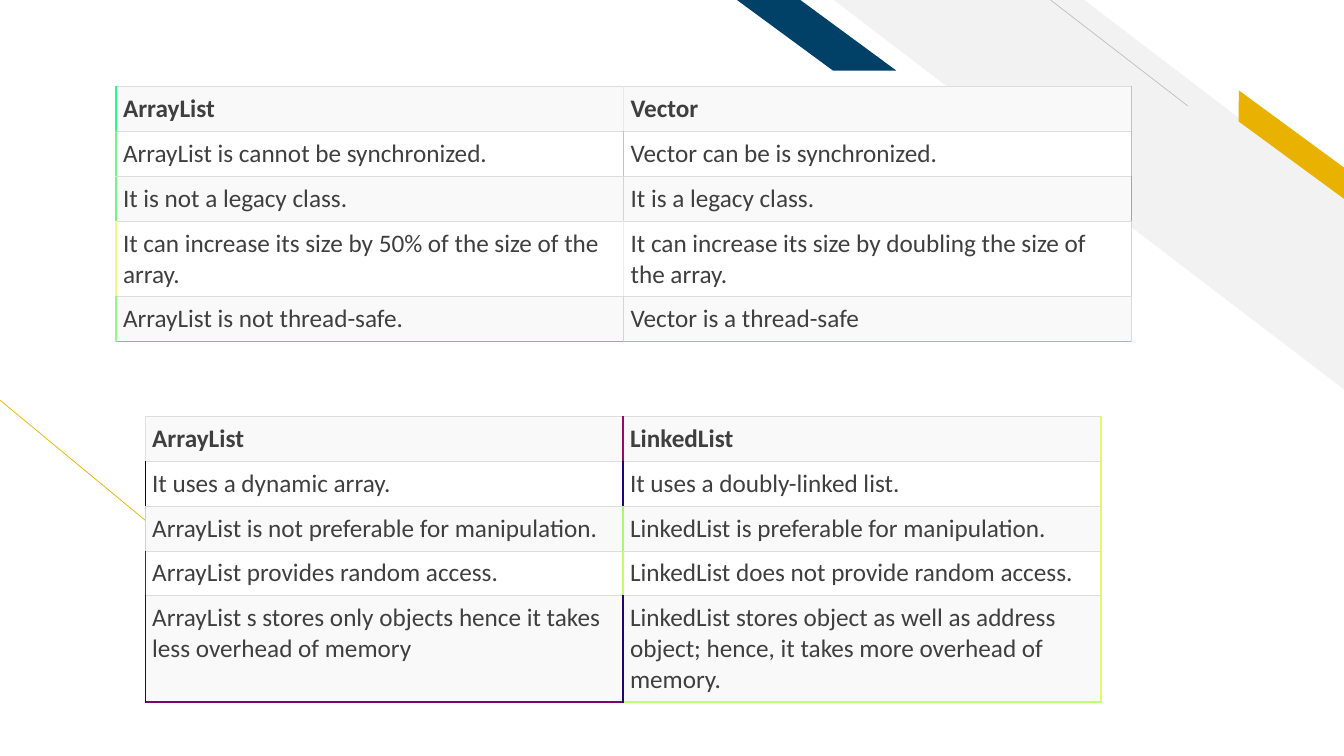
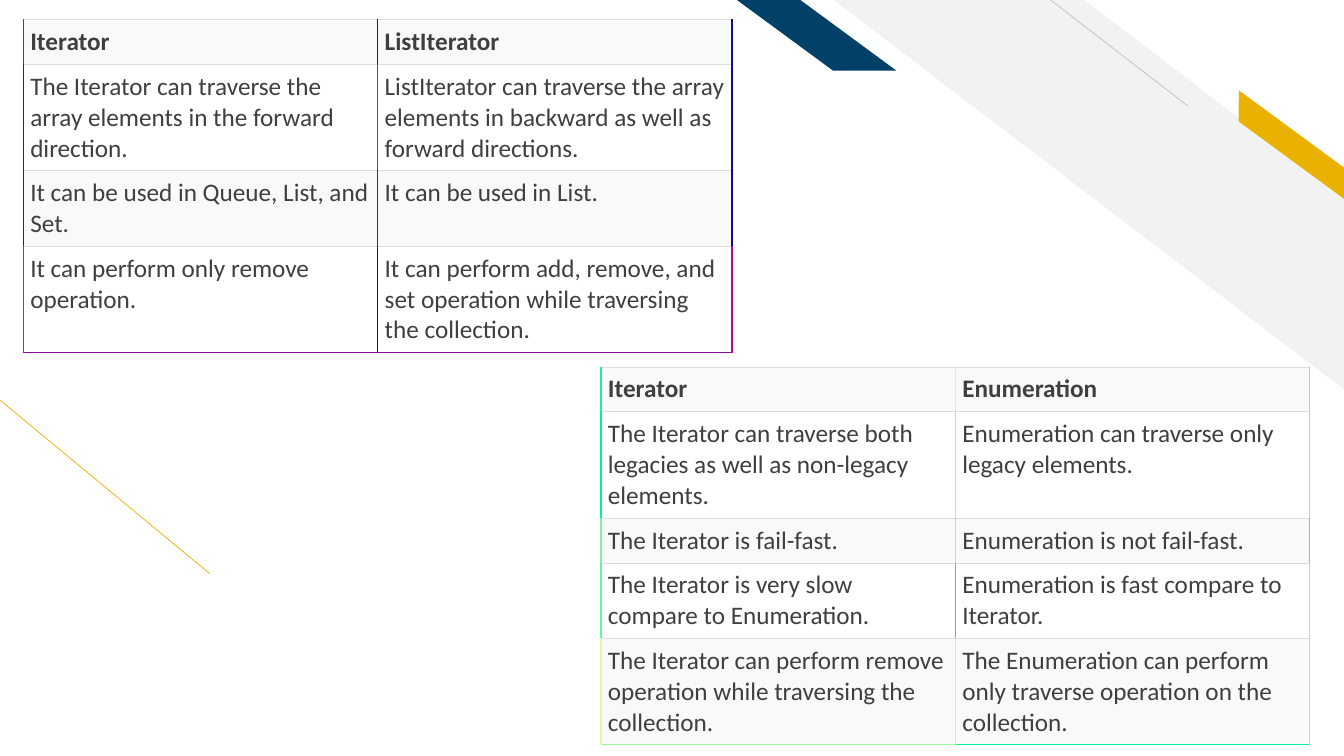
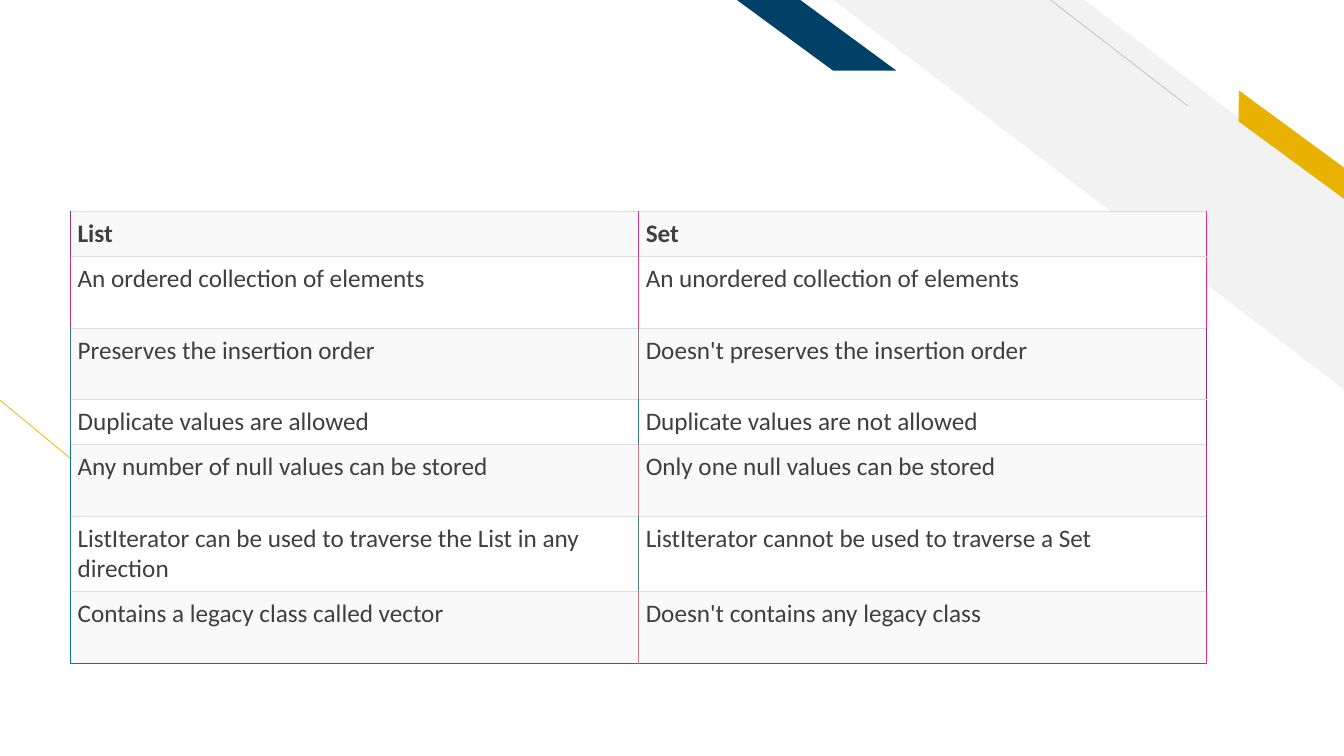
from lxml import etree
from pptx import Presentation
from pptx import util as u
from pptx.dml.color import RGBColor
from pptx.enum import shapes
from pptx.oxml.ns import qn
from pptx.oxml.xmlchemy import OxmlElement

# Shared style
FONT, TEXT_SIZE, TEXT = "Calibri", 18, "3F3F3F"
GOLD, NAVY, PALE, GREY = "EAB200", "014067", "F2F2F2", "BFBFBF"
ROW_FILLS, RULE = ("F9F9F9", "FFFFFF"), "DDDDDD"
PADDING = u.Inches(0.07)
SLIDE_WIDTH, SLIDE_HEIGHT = u.Inches(13.33), u.Inches(7.5)

# Row heights in percent of the slide height
ONE, TALL, TWO, THREE = 5.87, 9.47, 9.87, 14

# Bands: preset, box in percent, adjustment, rotation, fill
BANDS = [
    (shapes.MSO_SHAPE.DIAGONAL_STRIPE, (62.04, 0, 38.03, 51.6), 0.51, 0, PALE, True),
    (shapes.MSO_SHAPE.PARALLELOGRAM, (90.55, 17.47, 11.1, 3.33), 0.72, 36.3, GOLD, True),
    (shapes.MSO_SHAPE.PARALLELOGRAM, (54.84, 0, 11.85, 9.33), 1.36, 0, NAVY, False),
]
# Hairlines: start and end in percent, colour
HAIRLINES = [
    ((15.6, 75.87), (0, 52.93), GOLD),
    ((88.37, 14), (78.17, 0), GREY),
]

# Tables: place is left, top, width in percent; each row holds its height,
# two texts and the colours of its left, middle and right borders
ARRAYLIST_VECTOR = {
    "place": (8.63, 11.47, 75.54), "bottom": ("10FA84", "30FD84"),
    "rows": [
        (ONE, "ArrayList", "Vector", "30F784 F0F784 70F784"),
        (ONE, "ArrayList is cannot be synchronized.", "Vector can be is synchronized.",
         "70F784 70F784 70F284"),
        (ONE, "It is not a legacy class.", "It is a legacy class.", "70F784 B0F884 10F884"),
        (TWO, "It can increase its size by 50% of the size of the array.",
         "It can increase its size by doubling the size of the array.", "F0F984 F0FF84 B0F884"),
        (ONE, "ArrayList is not thread-safe.", "Vector is a thread-safe", "90FA84 B0FA84 D0F184"),
    ],
}
ARRAYLIST_LINKEDLIST = {
    "place": (10.8, 55.07, 71.12), "bottom": ("80016E", "C0FF6D"),
    "rows": [
        (ONE, "ArrayList", "LinkedList", "E0F76D A0036E E0FA6D"),
        (ONE, "It uses a dynamic array.", "It uses a doubly-linked list.", "00026E 20056E E0FA6D"),
        (ONE, "ArrayList is not preferable for manipulation.",
         "LinkedList is preferable for manipulation.", "A0FE6D A0FE6D E0FA6D"),
        (ONE, "ArrayList provides random access.",
         "LinkedList does not provide random access.", "80026E C0FF6D E0FA6D"),
        (THREE, "ArrayList s stores only objects hence it takes less overhead of memory",
         "LinkedList stores object as well as address object; hence, it takes more overhead "
         "of memory.", "20056E 20056E E0FA6D"),
    ],
}
ITERATOR_LISTITERATOR = {
    "place": (1.73, 2.6, 52.74), "bottom": ("9007A1", "9007A1"),
    "rows": [
        (ONE, "Iterator", "ListIterator", "B006A1 3006A1 100DA1"),
        (THREE, "The Iterator can traverse the array elements in the forward direction.",
         "ListIterator can traverse the array elements in backward as well as forward directions.",
         "5006A1 D006A1 1009A1"),
        (TWO, "It can be used in Queue, List, and Set.", "It can be used in List.",
         "5007A1 7007A1 1007A1"),
        (THREE, "It can perform only remove operation.",
         "It can perform add, remove, and set operation while traversing the collection.",
         "D010A1 1010A1 B007A1"),
    ],
}
ITERATOR_ENUMERATION = {
    "place": (44.71, 48.53, 52.74), "bottom": ("A0F29C", "00F59C"),
    "rows": [
        (ONE, "Iterator", "Enumeration", "20EE9C E0F69C 60F79C"),
        (THREE, "The Iterator can traverse both legacies as well as non-legacy elements.",
         "Enumeration can traverse only legacy elements.", "00F09C A0F69C 80F39C"),
        (ONE, "The Iterator is fail-fast.", "Enumeration is not fail-fast.",
         "80F19C A0F49C 20F79C"),
        (TWO, "The Iterator is very slow compare to Enumeration.",
         "Enumeration is fast compare to Iterator.", "60F79C 00F09C A0F49C"),
        (THREE, "The Iterator can perform remove operation while traversing the collection.",
         "The Enumeration can perform only traverse operation on the collection.",
         "E0FC9C C0FB9C A0F29C"),
    ],
}
LIST_SET = {
    "place": (5.25, 28, 84.55), "bottom": ("B02B85", "B02B85"),
    "rows": [
        (ONE, "List", "Set", "903485 D03485 F03085"),
        (TALL, "An ordered collection of elements", "An unordered collection of elements",
         "D03485 F04685 F03085"),
        (TALL, "Preserves the insertion order", "Doesn't preserves the insertion order",
         "307B84 907B84 902B85"),
        (ONE, "Duplicate values are allowed", "Duplicate values are not allowed",
         "307A84 307D84 902B85"),
        (TALL, "Any number of null values can be stored", "Only one null values can be stored",
         "107984 D07C84 B02B85"),
        (TWO, "ListIterator can be used to traverse the List in any direction",
         "ListIterator cannot be used to traverse a Set", "108084 507F84 902B85"),
        (TALL, "Contains a legacy class called vector", "Doesn't contains any legacy class",
         "107B84 D07B84 F03085"),
    ],
}
SLIDES = [
    [ARRAYLIST_VECTOR, ARRAYLIST_LINKEDLIST],
    [ITERATOR_LISTITERATOR, ITERATOR_ENUMERATION],
    [LIST_SET],
]


def color(value):
    return RGBColor.from_string(value)


def across(percent):
    return u.Emu(round(SLIDE_WIDTH * percent / 100))


def down(percent):
    return u.Emu(round(SLIDE_HEIGHT * percent / 100))


def add_band(slide, preset, box, adjustment, rotation, fill, flipped):
    left, top, width, height = box
    shape = slide.shapes.add_shape(preset, across(left), down(top), across(width), down(height))
    shape.adjustments[0] = adjustment
    shape.rotation = rotation
    shape.shadow.inherit = False
    shape.fill.solid()
    shape.fill.fore_color.rgb = color(fill)
    shape.line.fill.background()
    # The navy band is mirrored as well, so every band runs down to the right
    shape.element.spPr.find(qn("a:xfrm")).set("flipH", "1")


def add_hairline(slide, start, end, line_color):
    connector = slide.shapes.add_connector(
        shapes.MSO_CONNECTOR.STRAIGHT,
        across(start[0]), down(start[1]), across(end[0]), down(end[1]))
    connector.line.color.rgb = color(line_color)
    connector.line.width = u.Pt(0.5)
    connector.element.spPr.append(OxmlElement("a:effectLst"))


def add_border(cell, side, line_color, width):
    line = etree.SubElement(cell._tc.get_or_add_tcPr(), qn(f"a:ln{side}"), w=str(u.Pt(width)))
    fill = etree.SubElement(line, qn("a:solidFill"))
    etree.SubElement(fill, qn("a:srgbClr"), val=line_color)


def format_cell(cell, content, header, fill, borders):
    for side, line_color in borders.items():
        add_border(cell, side, line_color, 0.6 if line_color == RULE else 1)
    cell.fill.solid()
    cell.fill.fore_color.rgb = color(fill)
    cell.margin_left = cell.margin_right = cell.margin_top = cell.margin_bottom = PADDING
    cell.text_frame.text = content
    font = cell.text_frame.paragraphs[0].runs[0].font
    font.name, font.size, font.bold = FONT, u.Pt(TEXT_SIZE), header
    font.color.rgb = color(TEXT)


def add_comparison(slide, place, rows, bottom):
    left, top, width = place
    height = sum(row[0] for row in rows)
    table = slide.shapes.add_table(
        len(rows), 2, across(left), down(top), across(width), down(height)).table
    table.first_row = table.horz_banding = False
    for index, (row_height, *texts, edges) in enumerate(rows):
        table.rows[index].height = down(row_height)
        edges = edges.split()
        last = index == len(rows) - 1
        for column, content in enumerate(texts):
            borders = {"L": edges[column], "R": edges[column + 1], "T": RULE,
                       "B": bottom[column] if last else RULE}
            format_cell(table.cell(index, column), content, index == 0,
                        ROW_FILLS[index % 2], borders)


def main():
    presentation = Presentation()
    presentation.slide_width, presentation.slide_height = SLIDE_WIDTH, SLIDE_HEIGHT
    for tables in SLIDES:
        slide = presentation.slides.add_slide(presentation.slide_layouts[6])
        for band in BANDS:
            add_band(slide, *band)
        for hairline in HAIRLINES:
            add_hairline(slide, *hairline)
        for table in tables:
            add_comparison(slide, **table)
    presentation.save("out.pptx")


if __name__ == "__main__":
    main()
